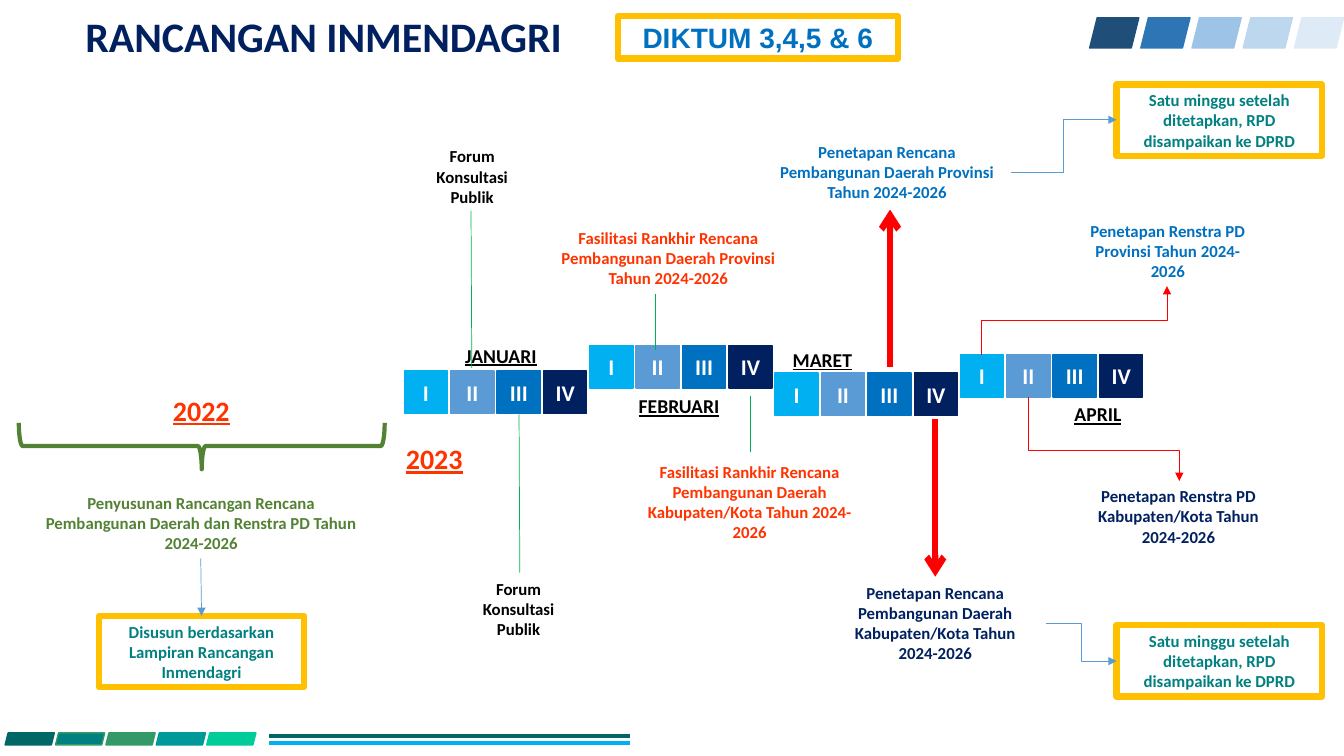
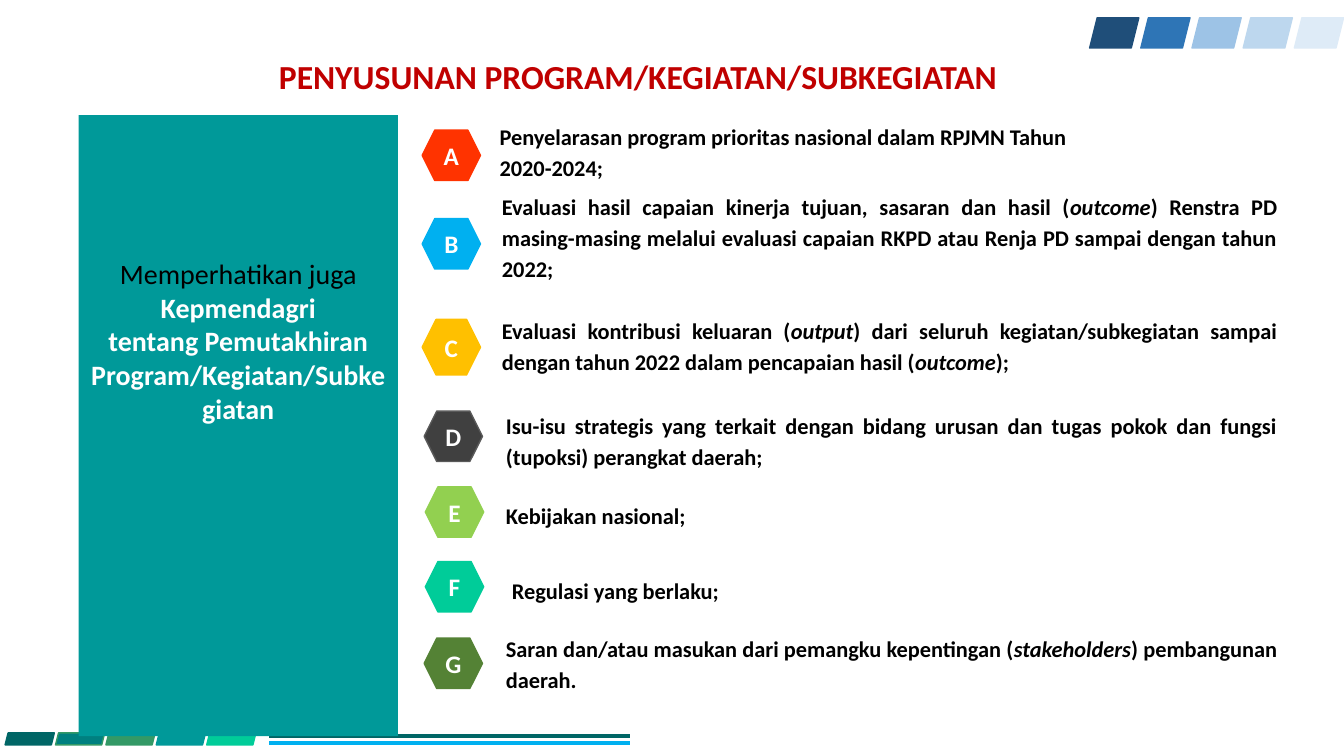
"""Build two slides on the regional planning timeline and its programme inputs."""
from dataclasses import dataclass, replace
from typing import Optional

from lxml.etree import SubElement
from pptx import Presentation
from pptx.dml.color import RGBColor
from pptx.enum.shapes import MSO_CONNECTOR as Connector, MSO_SHAPE as Preset
from pptx.enum.text import MSO_ANCHOR as Anchor, PP_ALIGN as Align
from pptx.oxml.ns import qn
from pptx.util import Cm, Pt

COLORS = {
    "white": "FFFFFF", "black": "000000", "navy": "002060", "blue": "0070C0",
    "steel": "5B9BD5", "sky": "00B0F0", "gold": "FFC000", "orange": "FF3300",
    "red": "FF0000", "crimson": "C00000", "green": "00B050", "olive": "548235",
    "lime": "92D050", "mint": "00CC99", "fern": "339966", "teal": "009999",
    "sea": "008080", "pine": "006666", "charcoal": "404040", "gray": "595959",
    "blue1": "1F4E79", "blue2": "2E75B6", "blue3": "9DC3E6",
    "blue4": "BDD7EE", "blue5": "DEEBF7",
}
TOP_BAND = ("blue1", "blue2", "blue3", "blue4", "blue5")
BOTTOM_BAND = (("pine", "pine"), ("sea", "fern"), ("fern", "fern"),
               ("teal", "teal"), ("mint", "mint"))
WEEKS = (("I", "sky"), ("II", "steel"), ("III", "blue"), ("IV", "navy"))
MONTH_LEFT, MONTH_STEP, WEEK_STEP = 10.19, 4.67, 1.17


@dataclass(frozen=True)
class Box:
    left: float
    top: float
    width: float
    height: float


@dataclass(frozen=True)
class Style:
    size: float
    color: str
    bold: bool = True
    underline: bool = False
    font: str = "Calibri"
    align: Align = Align.CENTER
    anchor: Anchor = Anchor.TOP
    spacing: Optional[float] = None


@dataclass(frozen=True)
class Label:
    box: Box
    text: str
    style: Style


@dataclass(frozen=True)
class Month:
    name: str
    weeks_top: float
    name_box: Box


@dataclass(frozen=True)
class Link:
    start: tuple[float, float]
    end: tuple[float, float]
    color: str
    width: float = 0.5
    arrow: str = ""
    elbow: str = ""
    bend: float = 0.5


@dataclass(frozen=True)
class Item:
    letter: str
    fill: str
    outline: str
    badge: Box
    text_left: float
    text_top: float
    text: str


TITLE = Style(30, "navy", align=Align.LEFT, anchor=Anchor.MIDDLE)
WEEK = Style(16, "white", anchor=Anchor.MIDDLE)
MONTH = Style(14, "black", underline=True)
YEAR = Style(20, "orange", underline=True)
NOTE = Style(12, "black")
BADGE = Style(18, "white", anchor=Anchor.MIDDLE)
ITEM = Style(16, "black", align=Align.JUSTIFY, spacing=1.15)
CALLOUT = Style(12, "sea", anchor=Anchor.MIDDLE)
DIKTUM = Style(20, "blue", font="Arial", anchor=Anchor.MIDDLE)
PANEL = Style(20, "white")

MONTHS = (
    Month("JANUARI", 9.35, Box(11.1, 8.53, 3.05, 0.86)),
    Month("FEBRUARI", 8.71, Box(13.94, 9.8, 6.35, 0.86)),
    Month("MARET", 9.4, Box(17.55, 8.64, 6.35, 0.86)),
    Month("APRIL", 8.94, Box(25.55, 10.01, 4.24, 0.86)),
)
BLUE, NAVY, ORANGE, OLIVE = (replace(NOTE, color=c) for c in ("blue", "navy", "orange", "olive"))
LABELS = (
    Label(Box(3.68, 9.78, 2.79, 1.12), "2022", YEAR),
    Label(Box(9.55, 11, 2.79, 1.12), "2023", YEAR),
    Label(Box(0.69, 12.29, 8.76, 1.8),
          "Penyusunan Rancangan Rencana Pembangunan Daerah dan Renstra PD Tahun 2024-2026", OLIVE),
    Label(Box(10.21, 3.56, 3.38, 1.8), "Forum\nKonsultasi Publik", NOTE),
    Label(Box(11.38, 14.45, 3.38, 1.8), "Forum Konsultasi Publik", NOTE),
    Label(Box(13.72, 5.61, 6.25, 1.8),
          "Fasilitasi Rankhir Rencana Pembangunan Daerah Provinsi Tahun 2024-2026", ORANGE),
    Label(Box(15.77, 11.51, 6.25, 2.31),
          "Fasilitasi Rankhir Rencana Pembangunan Daerah Kabupaten/Kota Tahun 2024-2026", ORANGE),
    Label(Box(19.23, 3.45, 6.25, 1.8),
          "Penetapan Rencana Pembangunan Daerah Provinsi Tahun 2024-2026", BLUE),
    Label(Box(20.8, 14.55, 5.54, 2.31),
          "Penetapan Rencana Pembangunan Daerah Kabupaten/Kota Tahun 2024-2026", NAVY),
    Label(Box(27.03, 5.44, 4.8, 1.8), "Penetapan Renstra PD Provinsi Tahun 2024-2026", BLUE),
    Label(Box(27.25, 12.12, 4.9, 1.8), "Penetapan Renstra PD Kabupaten/Kota Tahun 2024-2026", NAVY),
)
DPRD = "Satu minggu setelah ditetapkan, RPD disampaikan ke DPRD"
CALLOUTS = (
    Label(Box(15.57, 0.41, 7.06, 1.07), "DIKTUM 3,4,5 & 6", DIKTUM),
    Label(Box(28.14, 2.13, 5.18, 1.8), DPRD, CALLOUT),
    Label(Box(28.14, 15.75, 5.18, 1.8), DPRD, CALLOUT),
    Label(Box(2.49, 15.52, 5.18, 1.8), "Disusun berdasarkan Lampiran Rancangan Inmendagri", CALLOUT),
)
LINKS = (
    Link((11.87, 5.31), (11.89, 9.27), "green"),
    Link((13.08, 10.44), (13.1, 14.43), "green"),
    Link((16.51, 7.42), (16.51, 8.81), "green"),
    Link((18.9, 9.98), (18.9, 11.38), "green"),
    Link((22.43, 9.25), (22.43, 5.28), "red", 4.5, "arrow"),
    Link((23.57, 10.57), (23.57, 14.53), "red", 4.5, "arrow"),
    Link((5.06, 14.07), (5.08, 15.52), "steel", arrow="triangle"),
    Link((24.74, 8.94), (29.41, 7.21), "red", arrow="triangle", elbow="vertical"),
    Link((25.91, 10.01), (29.72, 12.12), "red", arrow="triangle", elbow="vertical", bend=0.635),
    Link((26.37, 15.72), (28.14, 16.66), "steel", arrow="triangle", elbow="horizontal"),
    Link((25.48, 4.34), (28.14, 3.02), "steel", arrow="triangle", elbow="horizontal"),
)
ITEMS = (
    Item("A", "orange", "orange", Box(10.64, 3.28, 1.47, 1.27), 12.34, 2.87,
         "Penyelarasan program prioritas nasional dalam RPJMN Tahun\n2020-2024;"),
    Item("B", "sky", "sky", Box(10.64, 5.51, 1.47, 1.27), 12.4, 4.65,
         "Evaluasi hasil capaian kinerja tujuan, sasaran dan hasil (*outcome*) Renstra PD "
         "masing-masing melalui evaluasi capaian RKPD atau Renja PD sampai dengan tahun 2022;"),
    Item("C", "gold", "gold", Box(10.64, 8.05, 1.47, 1.4), 12.4, 7.77,
         "Evaluasi kontribusi keluaran (*output*) dari seluruh kegiatan/subkegiatan sampai "
         "dengan tahun 2022 dalam pencapaian hasil (*outcome*);"),
    Item("D", "charcoal", "gray", Box(10.69, 10.36, 1.47, 1.27), 12.5, 10.16,
         "Isu-isu strategis yang terkait dengan bidang urusan dan tugas pokok dan fungsi "
         "(tupoksi) perangkat daerah;"),
    Item("E", "lime", "lime", Box(10.72, 12.27, 1.47, 1.27), 12.5, 12.42, "Kebijakan nasional;"),
    Item("F", "mint", "mint", Box(10.72, 14.15, 1.47, 1.27), 12.65, 14.33, "Regulasi yang berlaku;"),
    Item("G", "olive", "olive", Box(10.69, 16.08, 1.47, 1.27), 12.5, 15.77,
         "Saran dan/atau masukan dari pemangku kepentingan (*stakeholders*) pembangunan daerah."),
)
ITEM_RIGHT = 32.44


def rgb(name: str) -> RGBColor:
    return RGBColor.from_string(COLORS[name])


def lengths(box: Box) -> tuple:
    return Cm(box.left), Cm(box.top), Cm(box.width), Cm(box.height)


def add_paragraph(shape, index: int, text: str, style: Style) -> None:
    frame = shape.text_frame
    paragraph = frame.add_paragraph() if index else frame.paragraphs[0]
    paragraph.alignment = style.align
    if style.spacing:
        paragraph.line_spacing = style.spacing
    for position, part in enumerate(text.split("*")):
        run = paragraph.add_run()
        run.text = part
        run.font.name, run.font.size = style.font, Pt(style.size)
        run.font.bold, run.font.underline = style.bold, style.underline
        run.font.italic = position % 2 == 1
        run.font.color.rgb = rgb(style.color)


def write(shape, text: str, style: Style) -> None:
    shape.text_frame.word_wrap = True
    shape.text_frame.vertical_anchor = style.anchor
    for index, line in enumerate(text.split("\n")):
        add_paragraph(shape, index, line, style)


def add_label(slide, label: Label) -> None:
    write(slide.shapes.add_textbox(*lengths(label.box)), label.text, label.style)


def add_preset(slide, preset: Preset, box: Box, fill: str = "", outline: str = "", width: float = 1):
    shape = slide.shapes.add_shape(preset, *lengths(box))
    shape.shadow.inherit = False
    if fill:
        shape.fill.solid()
        shape.fill.fore_color.rgb = rgb(fill)
    else:
        shape.fill.background()
    if outline:
        shape.line.color.rgb = rgb(outline)
        shape.line.width = Pt(width)
    else:
        shape.line.fill.background()
    return shape


def add_link(slide, link: Link) -> None:
    (x1, y1), (x2, y2) = link.start, link.end
    if link.elbow == "vertical":
        middle_x, middle_y = (x1 + x2) / 2, (y1 + y2) / 2
        half_x, half_y = (x2 - x1) / 2, (y2 - y1) / 2
        x1, x2 = middle_x + half_y, middle_x - half_y
        y1, y2 = middle_y - half_x, middle_y + half_x
    kind = Connector.ELBOW if link.elbow else Connector.STRAIGHT
    connector = slide.shapes.add_connector(kind, Cm(x1), Cm(y1), Cm(x2), Cm(y2))
    connector.line.color.rgb = rgb(link.color)
    connector.line.width = Pt(link.width)
    properties = connector._element.spPr
    if link.elbow == "vertical":
        properties.find(qn("a:xfrm")).set("rot", str(270 * 60000))
    if link.elbow:
        adjustments = properties.find(qn("a:prstGeom")).get_or_add_avLst()
        SubElement(adjustments, qn("a:gd"), name="adj1", fmla=f"val {round(link.bend * 100000)}")
    if link.arrow:
        SubElement(properties.find(qn("a:ln")), qn("a:tailEnd"), type=link.arrow)
    SubElement(properties, qn("a:effectLst"))


def add_slide(presentation, title: Label):
    slide = presentation.slides.add_slide(presentation.slide_layouts[6])
    for index, color in enumerate(TOP_BAND):
        add_preset(slide, Preset.PARALLELOGRAM, Box(27.46 + 1.29 * index, 0.45, 1.24, 0.76), color, color)
    for top, color in ((18.54, "pine"), (18.73, "sky")):
        add_link(slide, Link((6.78, top), (15.88, top), color, 3))
    for index, (fill, outline) in enumerate(BOTTOM_BAND):
        add_preset(slide, Preset.PARALLELOGRAM, Box(0.13 + 1.27 * index, 18.47, 1.24, 0.3), fill, outline)
    add_label(slide, title)
    return slide


def build_timeline(presentation) -> None:
    slide = add_slide(presentation, Label(Box(1.9, 0.23, 13.5, 1.35), "RANCANGAN INMENDAGRI", TITLE))
    for index, month in enumerate(MONTHS):
        for week, (numeral, color) in enumerate(WEEKS):
            left = MONTH_LEFT + MONTH_STEP * index + WEEK_STEP * week
            cell = add_preset(slide, Preset.RECTANGLE, Box(left, month.weeks_top, 1.09, 1.07), color, color)
            write(cell, numeral, WEEK)
        add_label(slide, Label(month.name_box, month.name, MONTH))
    brace = add_preset(slide, Preset.LEFT_BRACE, Box(4.5, 6.63, 1.17, 9.22), outline="olive", width=3)
    brace.rotation = 270
    for label in LABELS:
        add_label(slide, label)
    for callout in CALLOUTS:
        frame = add_preset(slide, Preset.RECTANGLE, callout.box, outline="gold", width=4.5)
        write(frame, callout.text, callout.style)
    for link in LINKS:
        add_link(slide, link)


def build_inputs(presentation) -> None:
    slide = add_slide(presentation, Label(Box(6.78, 1.24, 20.83, 1.35),
                                          "PENYUSUNAN PROGRAM/KEGIATAN/SUBKEGIATAN",
                                          replace(TITLE, size=24, color="crimson")))
    for item in ITEMS:
        badge = add_preset(slide, Preset.HEXAGON, item.badge, item.fill, item.outline)
        write(badge, item.letter, BADGE)
        text_box = Box(item.text_left, item.text_top, ITEM_RIGHT - item.text_left, 1.83)
        add_label(slide, Label(text_box, item.text, ITEM))
    panel = add_preset(slide, Preset.RECTANGLE, Box(1.98, 2.9, 8.05, 15.65), "teal")
    panel.text_frame.margin_top = Cm(3.57)
    write(panel, "Memperhatikan juga", replace(PANEL, color="black", bold=False))
    for index, line in enumerate(("Kepmendagri", "tentang Pemutakhiran Program/Kegiatan/Subkegiatan"), 1):
        add_paragraph(panel, index, line, PANEL)


def main() -> None:
    presentation = Presentation()
    presentation.slide_width, presentation.slide_height = Cm(33.87), Cm(19.05)
    build_timeline(presentation)
    build_inputs(presentation)
    presentation.save("out.pptx")


if __name__ == "__main__":
    main()
